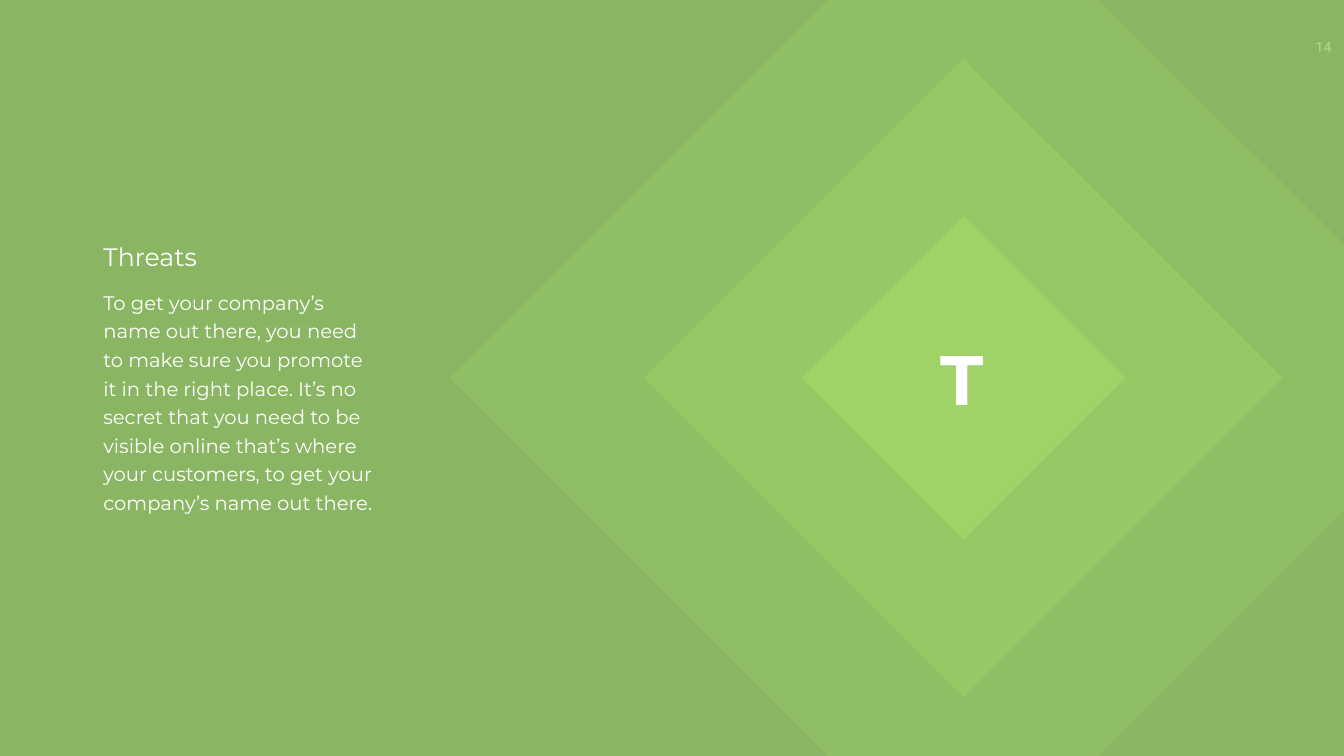
"""Build the Threats slide: text on the left, nested diamonds on the right."""
from typing import NamedTuple

from pptx import Presentation
from pptx.dml.color import RGBColor
from pptx.enum.shapes import MSO_SHAPE
from pptx.enum.text import MSO_ANCHOR, MSO_AUTO_SIZE, PP_ALIGN
from pptx.oxml.ns import qn
from pptx.util import Inches, Pt

RECT = MSO_SHAPE.RECTANGLE
TOP = MSO_ANCHOR.TOP
NO_FIT = MSO_AUTO_SIZE.NONE
LEFT, CENTER = PP_ALIGN.LEFT, PP_ALIGN.CENTER

WIDTH, HEIGHT = 26.66, 15
CENTER_X, CENTER_Y = 19.11, 7.5
GREEN, WHITE, NAVY = "9FD368", "FFFFFF", "364556"
BODY = (
    "To get your company’s name out there, you need to make sure you promote "
    "it in the right place. It’s no secret that you need to be visible online "
    "that’s where your customers, to get your company’s name out there."
)


class Box(NamedTuple):
    left: float
    top: float
    width: float
    height: float


class Diamond(NamedTuple):
    side: float
    opacity: int


DIAMONDS = [Diamond(14.41, 30), Diamond(8.96, 50), Diamond(4.54, 100)]


def rgb(color: str) -> RGBColor:
    """Turn a hex string into a colour."""
    return RGBColor.from_string(color)


def place(sp, box: Box) -> None:
    """Move and size a shape."""
    for name, value in box._asdict().items():
        setattr(sp, name, Inches(value))


def add_square(slide, box: Box, opacity: int, rotation: int = 0) -> None:
    """Draw a green rectangle with the given opacity in percent."""
    sp = slide.shapes.add_shape(RECT, *map(Inches, box))
    sp.shadow.inherit = False
    sp.rotation = rotation
    sp.fill.solid()
    sp.fill.fore_color.rgb = rgb(GREEN)
    sp.line.fill.background()
    if opacity < 100:
        color = sp.fill._xPr.find(f".//{qn('a:srgbClr')}")
        color.makeelement(qn("a:alpha"))
        alpha = color.makeelement(qn("a:alpha"), {"val": str(opacity * 1000)})
        color.append(alpha)


def write(sp, text: str, font: dict, para: dict, wrap: bool = True):
    """Fill a shape with one formatted paragraph and return its run."""
    tf = sp.text_frame
    frame = {"word_wrap": wrap, "auto_size": NO_FIT, "vertical_anchor": TOP}
    p = tf.paragraphs[0]
    r = p.add_run()
    r.text = text
    r.font.color.rgb = rgb(WHITE)
    for target, values in ((tf, frame), (p, para), (r.font, font)):
        for name, value in values.items():
            setattr(target, name, value)
    return r


def add_text(slide, box: Box):
    """Add an empty text box."""
    return slide.shapes.add_textbox(*map(Inches, box))


def main() -> None:
    """Build and save the slide."""
    prs = Presentation()
    prs.slide_width, prs.slide_height = Inches(WIDTH), Inches(HEIGHT)
    slide = prs.slides.add_slide(prs.slide_layouts[1])
    slide.background.fill.solid()
    slide.background.fill.fore_color.rgb = rgb(NAVY)

    number = add_text(slide, Box(25.8, 0.67, 0.91, 0.54))
    write(number, "14", {"name": "Roboto", "size": Pt(20)},
          {"alignment": CENTER}, wrap=False)
    number.text_frame.margin_top = Inches(0.1)
    add_square(slide, Box(0, 0, WIDTH, HEIGHT), 80)

    title, body = slide.shapes.title, slide.placeholders[1]
    for sp in (title, body):
        slide.shapes._spTree.append(sp.element)
    place(title, Box(1.95, 4.73, 4.81, 0.71))
    write(title, "Threats", {"name": "Montserrat", "size": Pt(36)},
          {"alignment": LEFT})

    place(body, Box(1.95, 5.62, 5.63, 4.65))
    p_pr = body.text_frame.paragraphs[0]._p.get_or_add_pPr()
    p_pr.set("marL", "0")
    p_pr.set("indent", "0")
    p_pr.append(p_pr.makeelement(qn("a:buNone")))
    write(body, BODY, {"name": "Montserrat", "size": Pt(28)},
          {"alignment": LEFT, "line_spacing": Pt(40.8), "space_before": Pt(0)})

    for side, opacity in DIAMONDS:
        box = Box(CENTER_X - side / 2, CENTER_Y - side / 2, side, side)
        add_square(slide, box, opacity, rotation=45)

    letter = add_text(slide, Box(17.59, 6.61, 2.98, 1.78))
    r = write(letter, "T", {"name": "Montserrat", "size": Pt(100), "bold": True},
              {"alignment": CENTER})
    r.font._element.set("spc", "300")
    prs.save("out.pptx")


if __name__ == "__main__":
    main()
